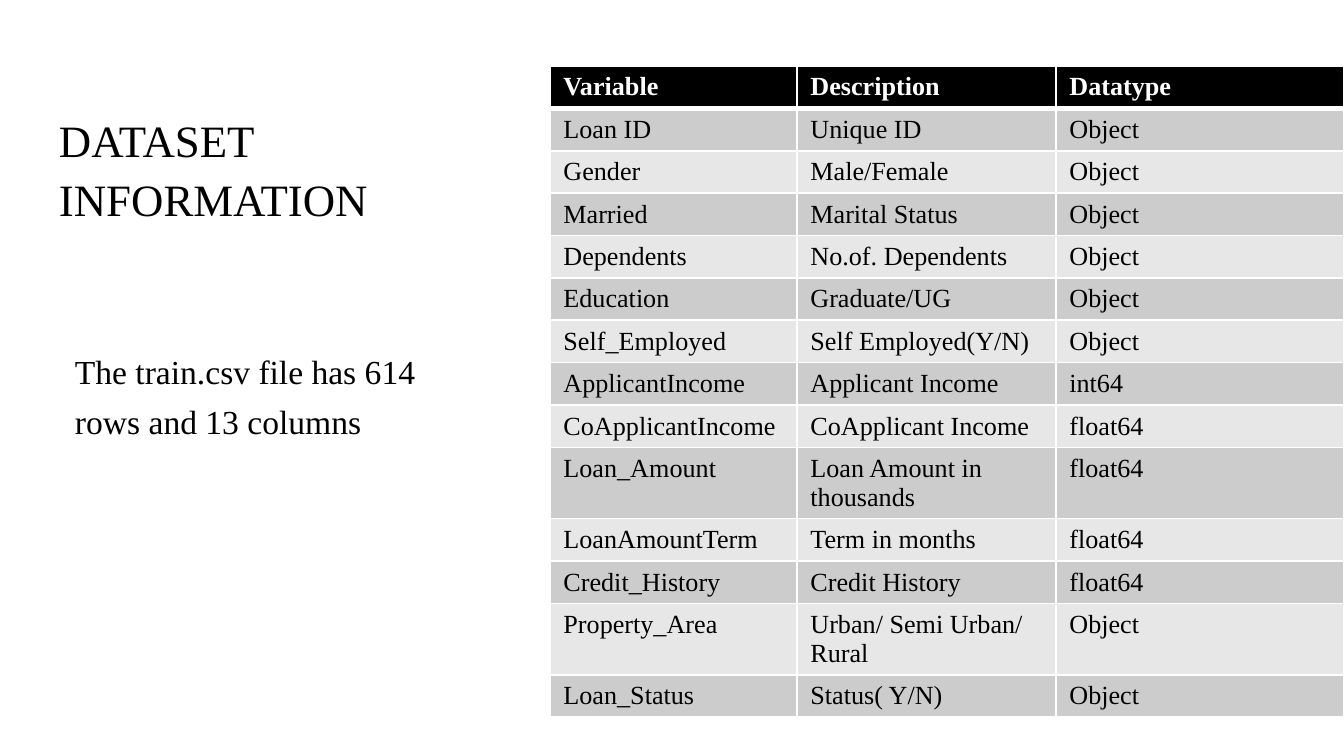
from lxml import etree
from pptx import Presentation
from pptx.dml.color import RGBColor
from pptx.enum.text import MSO_ANCHOR, MSO_AUTO_SIZE, PP_ALIGN
from pptx.oxml.ns import qn
from pptx.util import Emu, Pt

TOP, LEFT, NO_FIT = MSO_ANCHOR.TOP, PP_ALIGN.LEFT, MSO_AUTO_SIZE.NONE
PX = 914400 / 134.4
FONT = "Times New Roman"
BLACK, WHITE = "000000", "FFFFFF"
BANDS = ("CCCCCC", "E7E7E7")
TITLE_LAYOUT = 5

COLUMN_WIDTHS = (247, 259, 288)
ROW_HEIGHT, TALL_ROW_HEIGHT = 42, 71
TALL_ROWS = ("Loan_Amount", "Property_Area")
VARIABLES = [
    ("Variable", "Description", "Datatype"),
    ("Loan ID", "Unique ID", "Object"),
    ("Gender", "Male/Female", "Object"),
    ("Married", "Marital Status", "Object"),
    ("Dependents", "No.of. Dependents", "Object"),
    ("Education", "Graduate/UG", "Object"),
    ("Self_Employed", "Self Employed(Y/N)", "Object"),
    ("ApplicantIncome", "Applicant Income", "int64"),
    ("CoApplicantIncome", "CoApplicant Income", "float64"),
    ("Loan_Amount", "Loan Amount in thousands", "float64"),
    ("LoanAmountTerm", "Term in months", "float64"),
    ("Credit_History", "Credit History", "float64"),
    ("Property_Area", "Urban/ Semi Urban/ Rural", "Object"),
    ("Loan_Status", "Status( Y/N)", "Object"),
]


def px(length):
    """Turn pixels into EMU."""
    return Emu(round(length * PX))


def color(hex_text):
    """Turn a hex string into a colour."""
    return RGBColor.from_string(hex_text)


def write(frame, text, size, hex_text=BLACK, bold=False, spacing=1.0):
    """Put one formatted, left-aligned paragraph into a text frame."""
    frame.text = text
    paragraph = frame.paragraphs[0]
    paragraph.alignment = LEFT
    paragraph.line_spacing = spacing
    font = paragraph.runs[0].font
    font.name, font.size, font.bold = FONT, Pt(size), bold
    font.color.rgb = color(hex_text)


def set_frame(frame, inset, indent=0):
    """Set wrapping, anchor and insets of a text frame."""
    frame.word_wrap = True
    frame.auto_size = NO_FIT
    frame.vertical_anchor = TOP
    frame.margin_left = px(inset + indent)
    frame.margin_right = frame.margin_top = frame.margin_bottom = px(inset)


def set_borders(cell, top, bottom):
    """Give a cell white borders, with top and bottom widths in points."""
    properties = cell._tc.get_or_add_tcPr()
    for tag, width in (("lnL", 1), ("lnR", 1), ("lnT", top), ("lnB", bottom)):
        line = etree.SubElement(properties, qn(f"a:{tag}"), w=str(Pt(width)))
        fill = etree.SubElement(line, qn("a:solidFill"))
        etree.SubElement(fill, qn("a:srgbClr"), val=WHITE)


def place_title(slide, left, top, width, height):
    """Place the slide title."""
    title = slide.shapes.title
    title.left, title.top, title.width, title.height = map(
        px, (left, top, width, height))
    set_frame(title.text_frame, 13)
    write(title.text_frame, "DATASET INFORMATION", 24, spacing=1.09)


def place_summary(slide, left, top, width, height):
    """Place the sentence about the size of the data."""
    summary = slide.shapes.add_textbox(*map(px, (left, top, width, height)))
    set_frame(summary.text_frame, 13, indent=16)
    write(summary.text_frame, "The train.csv file has 614 rows and 13 columns",
          18, spacing=1.24)


def place_variables(slide, left, top):
    """Place the banded table of variables."""
    heights = [TALL_ROW_HEIGHT if row[0] in TALL_ROWS else ROW_HEIGHT
               for row in VARIABLES]
    table = slide.shapes.add_table(
        len(VARIABLES), len(COLUMN_WIDTHS), px(left), px(top),
        px(sum(COLUMN_WIDTHS)), px(sum(heights))).table
    table.horz_banding = False
    for column, width in zip(table.columns, COLUMN_WIDTHS):
        column.width = px(width)
    for r, (values, height) in enumerate(zip(VARIABLES, heights)):
        table.rows[r].height = px(height)
        header = r == 0
        for c, value in enumerate(values):
            cell = table.cell(r, c)
            set_borders(cell, 3 if r == 1 else 1, 3 if header else 1)
            cell.fill.solid()
            cell.fill.fore_color.rgb = color(
                BLACK if header else BANDS[(r - 1) % 2])
            write(cell.text_frame, value, 14, WHITE if header else BLACK, header)


def build():
    """Build and save the presentation."""
    deck = Presentation()
    deck.slide_width, deck.slide_height = px(1344), px(756)
    slide = deck.slides.add_slide(deck.slide_layouts[TITLE_LAYOUT])
    place_title(slide, 46, 95, 466, 85)
    place_summary(slide, 46, 328, 388, 353)
    place_variables(slide, 550, 66)
    deck.save("out.pptx")


build()
